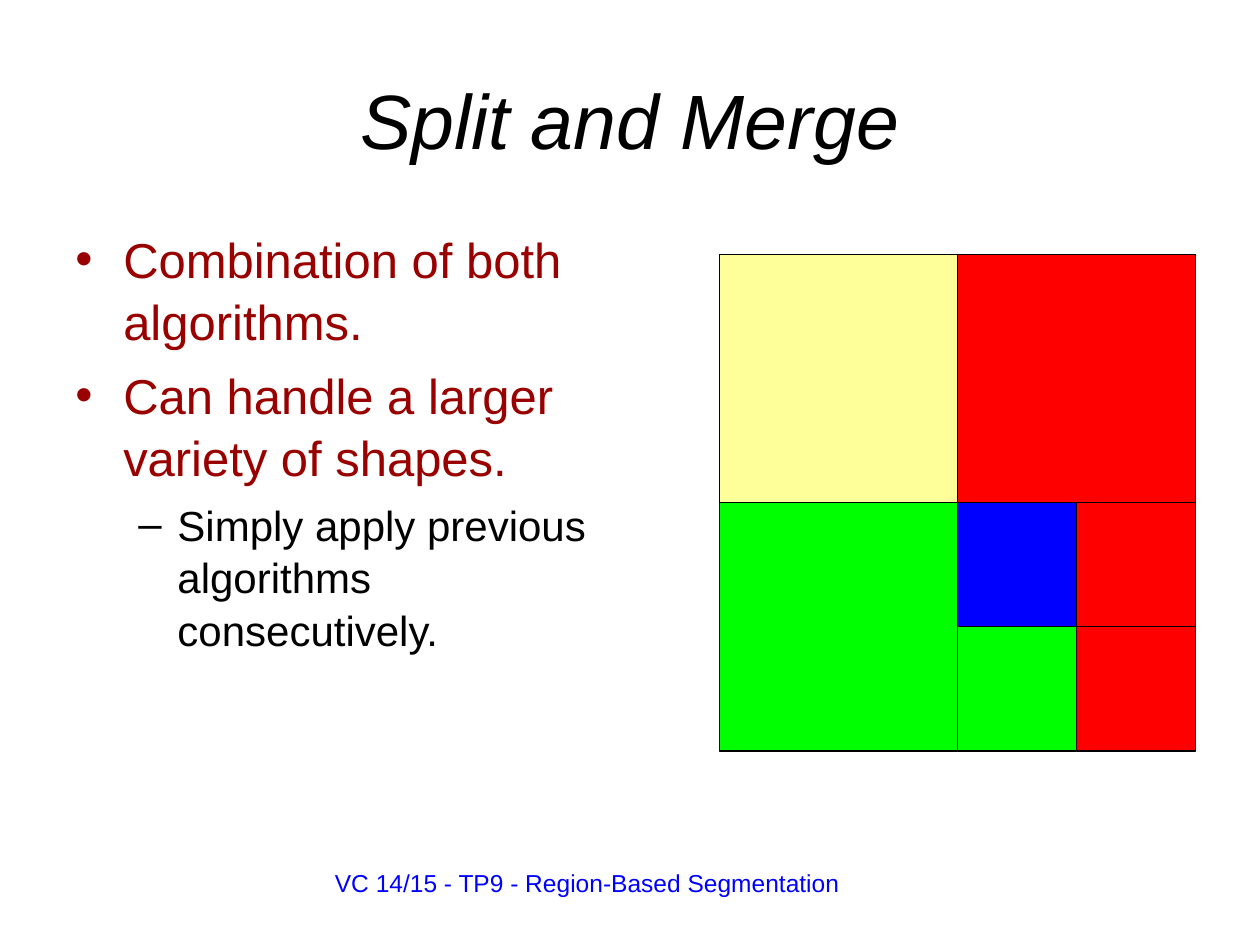
import pptx
import pptx.util
import pptx.dml.color
import pptx.enum.shapes
import pptx.enum.text
import lxml.etree

Inches = pptx.util.Inches
Pt = pptx.util.Pt

COLORS = {
    "black": "000000",
    "maroon": "990000",
    "yellow": "FFFF99",
    "red": "FF0000",
    "green": "00FF00",
    "blue": "0000FF",
}


def rgb(name):
    return pptx.dml.color.RGBColor.from_string(COLORS[name])


def add_run(paragraph, text, size, color, italic=False):
    paragraph.line_spacing = 1.05
    run = paragraph.add_run()
    run.text = text
    run.font.name = "Arial"
    run.font.size = Pt(size)
    run.font.italic = italic
    run.font.color.rgb = rgb(color)


presentation = pptx.Presentation()
presentation.slide_width = Inches(10)
presentation.slide_height = Inches(7.5)
slide = presentation.slides.add_slide(presentation.slide_layouts[6])

# Footer
footer = slide.shapes.add_textbox(Inches(2.56), Inches(6.83), Inches(6.14), Inches(0.52))
footer.text_frame.word_wrap = True
add_run(footer.text_frame.paragraphs[0], "VC 14/15 - TP9 - Region-Based Segmentation", 14, "blue")

# Title
title = slide.shapes.add_textbox(Inches(0.5), Inches(0.3), Inches(9), Inches(1.25))
title.text_frame.word_wrap = True
title.text_frame.vertical_anchor = pptx.enum.text.MSO_ANCHOR.MIDDLE
title.text_frame.paragraphs[0].alignment = pptx.enum.text.PP_ALIGN.CENTER
add_run(title.text_frame.paragraphs[0], "Split and Merge", 44, "black", italic=True)

# Bulleted text: text, level, size, colour, bullet, left margin, hanging indent, space before
bullets = [
    ("Combination of both algorithms.", 0, 28, "maroon", "•", 0.38, 0.38, 0),
    ("Can handle a larger variety of shapes.", 0, 28, "maroon", "•", 0.38, 0.38, 7),
    ("Simply apply previous algorithms consecutively.", 1, 24, "black", "–", 0.81, 0.31, 6),
]
body = slide.shapes.add_textbox(Inches(0.5), Inches(1.75), Inches(4.42), Inches(4.95))
body.text_frame.word_wrap = True
for index, (text, level, size, color, bullet, margin, hanging, space) in enumerate(bullets):
    paragraph = body.text_frame.add_paragraph() if index else body.text_frame.paragraphs[0]
    paragraph.level = level
    paragraph.space_before = Pt(space)
    properties = paragraph._p.get_or_add_pPr()
    properties.set("marL", str(Inches(margin)))
    properties.set("indent", str(-Inches(hanging)))
    bullet_color = lxml.etree.SubElement(properties, pptx.oxml.ns.qn("a:buClr"))
    lxml.etree.SubElement(bullet_color, pptx.oxml.ns.qn("a:srgbClr"), val=COLORS[color])
    lxml.etree.SubElement(properties, pptx.oxml.ns.qn("a:buFont"), typeface="Arial")
    lxml.etree.SubElement(properties, pptx.oxml.ns.qn("a:buChar"), char=bullet)
    add_run(paragraph, text, size, color)

# Quadtree: column and row in quarter units, size in quarters, colour
regions = [
    (0, 0, 2, "yellow"),
    (2, 0, 2, "red"),
    (0, 2, 2, "green"),
    (2, 2, 1, "blue"),
    (2, 3, 1, "green"),
    (3, 2, 1, "red"),
    (3, 3, 1, "red"),
]
tree_left, tree_top = 5.71, 2.02
quarter_width, quarter_height = 1.89 / 2, 1.97 / 2
for column, row, span, color in regions:
    region = slide.shapes.add_shape(
        pptx.enum.shapes.MSO_SHAPE.RECTANGLE,
        Inches(tree_left + column * quarter_width),
        Inches(tree_top + row * quarter_height),
        Inches(span * quarter_width),
        Inches(span * quarter_height),
    )
    region.shadow.inherit = False
    region.fill.solid()
    region.fill.fore_color.rgb = rgb(color)
    region.line.color.rgb = rgb("black")
    region.line.width = Pt(0.75)

presentation.save("out.pptx")
